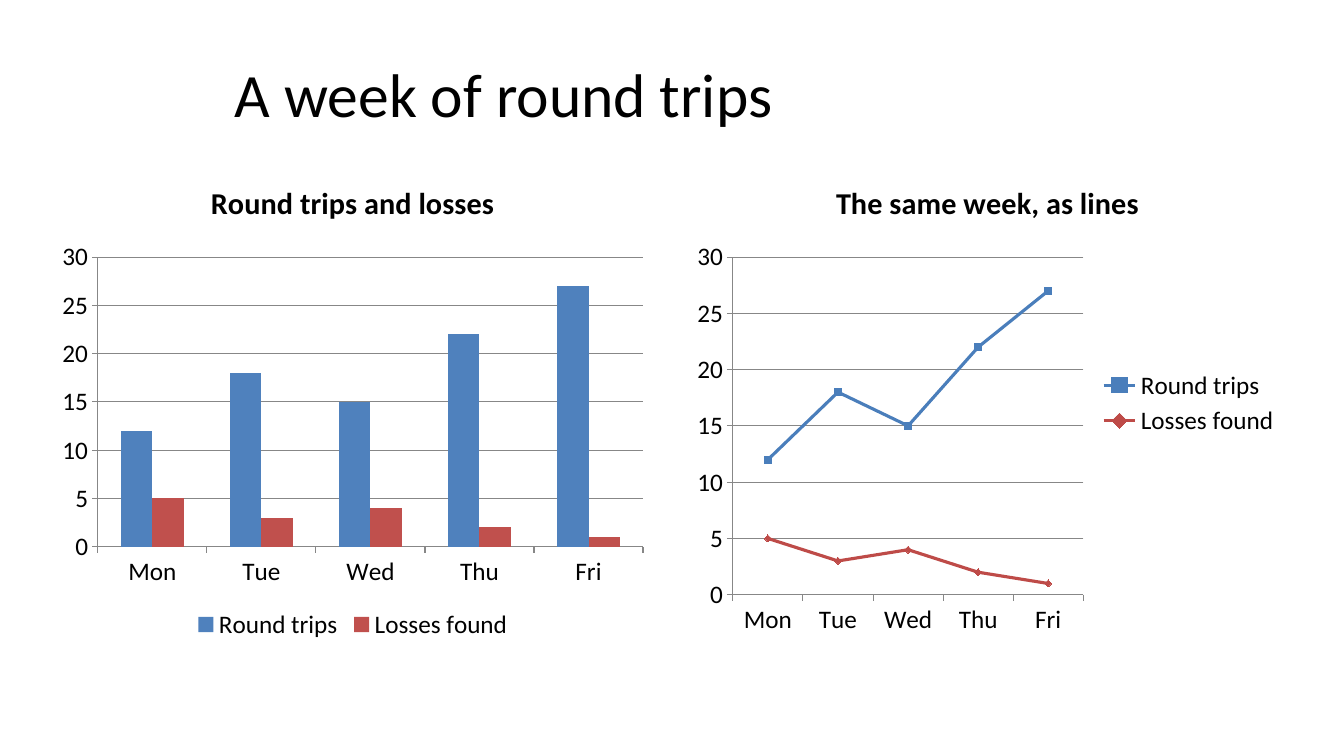
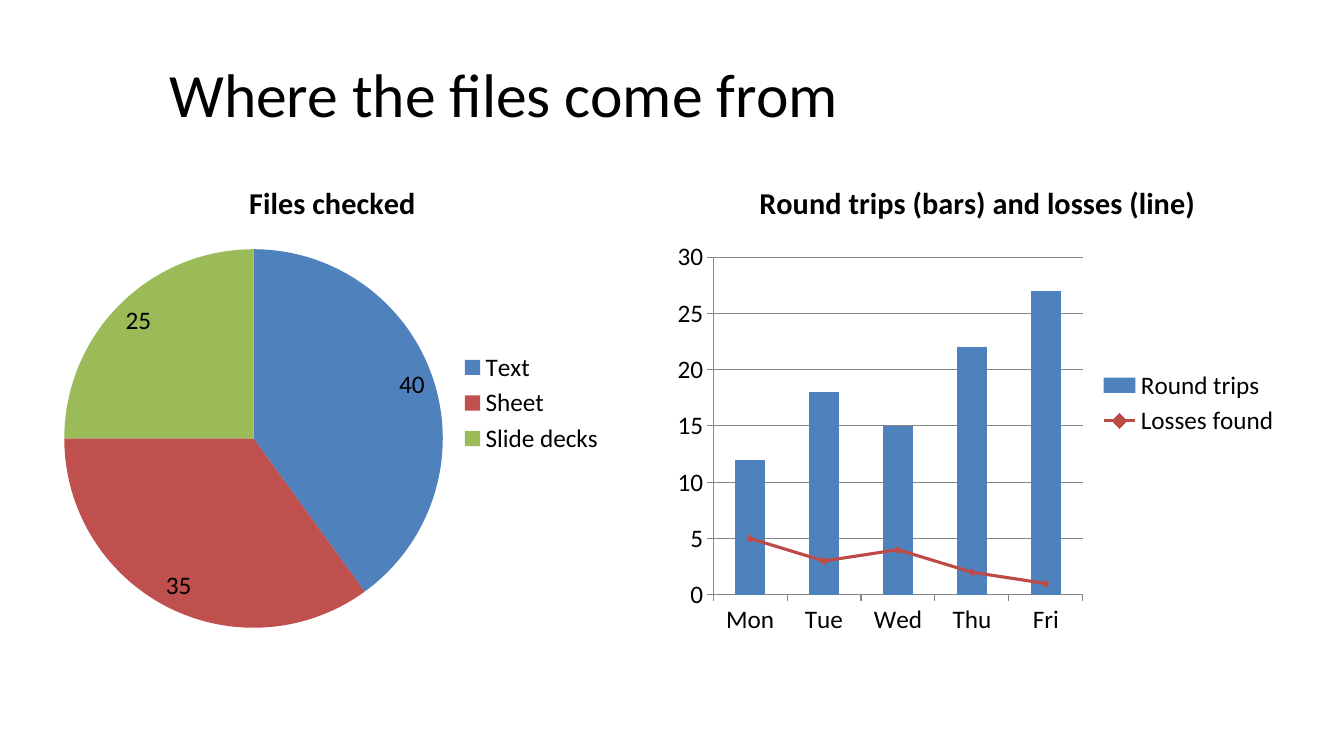
"""Build two slides of weekly round trip charts and file origins."""
from copy import deepcopy

from pptx import Presentation
from pptx.chart.data import CategoryChartData
from pptx.dml.color import RGBColor
from pptx.enum.chart import (XL_CHART_TYPE, XL_LABEL_POSITION, XL_LEGEND_POSITION,
                             XL_MARKER_STYLE, XL_TICK_MARK)
from pptx.enum.text import MSO_ANCHOR, PP_ALIGN
from pptx.oxml import parse_xml
from pptx.oxml.ns import nsdecls, qn
from pptx.util import Cm, Pt

COLUMNS = XL_CHART_TYPE.COLUMN_CLUSTERED
LINES = XL_CHART_TYPE.LINE_MARKERS
PIE = XL_CHART_TYPE.PIE
BEST_FIT = XL_LABEL_POSITION.BEST_FIT
BOTTOM = XL_LEGEND_POSITION.BOTTOM
RIGHT = XL_LEGEND_POSITION.RIGHT
SQUARE = XL_MARKER_STYLE.SQUARE
DIAMOND = XL_MARKER_STYLE.DIAMOND
TICK_OUT = XL_TICK_MARK.OUTSIDE
TICK_NONE = XL_TICK_MARK.NONE
CENTER = PP_ALIGN.CENTER
MIDDLE = MSO_ANCHOR.MIDDLE

FONT = "Calibri"
BLACK = "000000"
GRAY = "878787"
FILLS = ["4F81BD", "C0504D", "9BBB59"]
STROKES = ["4A7EBB", "BE4B48"]
MARKERS = [SQUARE, DIAMOND]

DAYS = ["Mon", "Tue", "Wed", "Thu", "Fri"]
WEEK = {"Round trips": [12, 18, 15, 22, 27], "Losses found": [5, 3, 4, 2, 1]}
FILE_KINDS = ["Text", "Sheet", "Slide decks"]
FILES = {"Files checked": [40, 35, 25]}

SLIDES = [
    ("A week of round trips", [
        ("Round trips and losses", COLUMNS, 1.27, 15.24, BOTTOM, DAYS, WEEK, False),
        ("The same week, as lines", LINES, 17.27, 15.24, RIGHT, DAYS, WEEK, False),
    ]),
    ("Where the files come from", [
        ("Files checked", PIE, 1.27, 14.22, RIGHT, FILE_KINDS, FILES, False),
        ("Round trips (bars) and losses (line)", COLUMNS, 16.76, 15.75, RIGHT,
         DAYS, WEEK, True),
    ]),
]


def rgb(value):
    return RGBColor.from_string(value)


def style_font(font, size, bold=False):
    font.name = FONT
    font.size = Pt(size)
    font.bold = bold
    font.color.rgb = rgb(BLACK)


prs = Presentation()
prs.slide_width = Cm(33.87)
prs.slide_height = Cm(19.05)
title_only = prs.slide_layouts[5]

for heading, charts in SLIDES:
    slide = prs.slides.add_slide(title_only)
    title = slide.shapes.title
    title.left, title.top = Cm(1.27), Cm(0.76)
    title.width, title.height = Cm(22.86), Cm(3.18)
    title.text_frame.vertical_anchor = MIDDLE
    paragraph = title.text_frame.paragraphs[0]
    paragraph.alignment = CENTER
    run = paragraph.add_run()
    run.text = heading
    style_font(run.font, 44)

    for caption, kind, left, width, legend_side, categories, values, combined in charts:
        data = CategoryChartData()
        data.categories = categories
        for name, numbers in values.items():
            data.add_series(name, numbers)
        chart = slide.shapes.add_chart(
            kind, Cm(left), Cm(4.06), Cm(width), Cm(12.19), data).chart
        style_font(chart.font, 18)

        chart.has_title = True
        caption_run = chart.chart_title.text_frame.paragraphs[0].add_run()
        caption_run.text = caption
        style_font(caption_run.font, 21.6, bold=True)
        chart.chart_title.include_in_layout = False

        chart.has_legend = True
        chart.legend.position = legend_side
        chart.legend.include_in_layout = False
        style_font(chart.legend.font, 18)

        if kind == PIE:
            pie = chart.plots[0]
            pie.vary_by_categories = True
            pie.has_data_labels = True
            labels = pie.data_labels
            labels.show_value = True
            labels.show_percentage = False
            labels.position = BEST_FIT
            style_font(labels.font, 18)
            for index, color in enumerate(FILLS):
                fill = pie.series[0].points[index].format.fill
                fill.solid()
                fill.fore_color.rgb = rgb(color)
            continue

        for axis in (chart.category_axis, chart.value_axis):
            axis.major_tick_mark = TICK_OUT
            axis.minor_tick_mark = TICK_NONE
            axis.format.line.color.rgb = rgb(GRAY)
            axis.format.line.width = Pt(0.75)
            style_font(axis.tick_labels.font, 18)
        chart.value_axis.minimum_scale = 0
        chart.value_axis.maximum_scale = 30
        chart.value_axis.major_unit = 5
        chart.value_axis.has_major_gridlines = True
        grid = chart.value_axis.major_gridlines.format.line
        grid.color.rgb = rgb(GRAY)
        grid.width = Pt(0.75)

        if combined:
            bars = chart._chartSpace.find(".//" + qn("c:barChart"))
            losses = bars.findall(qn("c:ser"))[1]
            for flag in losses.findall(qn("c:invertIfNegative")):
                losses.remove(flag)
            overlay = parse_xml(
                f'<c:lineChart {nsdecls("c")}><c:grouping val="standard"/>'
                '<c:varyColors val="0"/><c:marker val="1"/></c:lineChart>')
            overlay.insert(2, losses)
            for axis_id in bars.findall(qn("c:axId")):
                overlay.append(deepcopy(axis_id))
            bars.addnext(overlay)

        names = list(values)
        for plot in chart.plots:
            plot.vary_by_categories = False
            has_bars = hasattr(plot, "gap_width")
            if has_bars:
                plot.gap_width = 150
                plot.overlap = 0
            for series in plot.series:
                index = names.index(series.name)
                if has_bars:
                    series.format.fill.solid()
                    series.format.fill.fore_color.rgb = rgb(FILLS[index])
                    continue
                series.smooth = False
                series.format.line.color.rgb = rgb(STROKES[index])
                series.format.line.width = Pt(2.25)
                series.marker.style = MARKERS[index]
                series.marker.size = 5
                series.marker.format.fill.solid()
                series.marker.format.fill.fore_color.rgb = rgb(STROKES[index])
                series.marker.format.line.color.rgb = rgb(STROKES[index])

prs.save("out.pptx")
